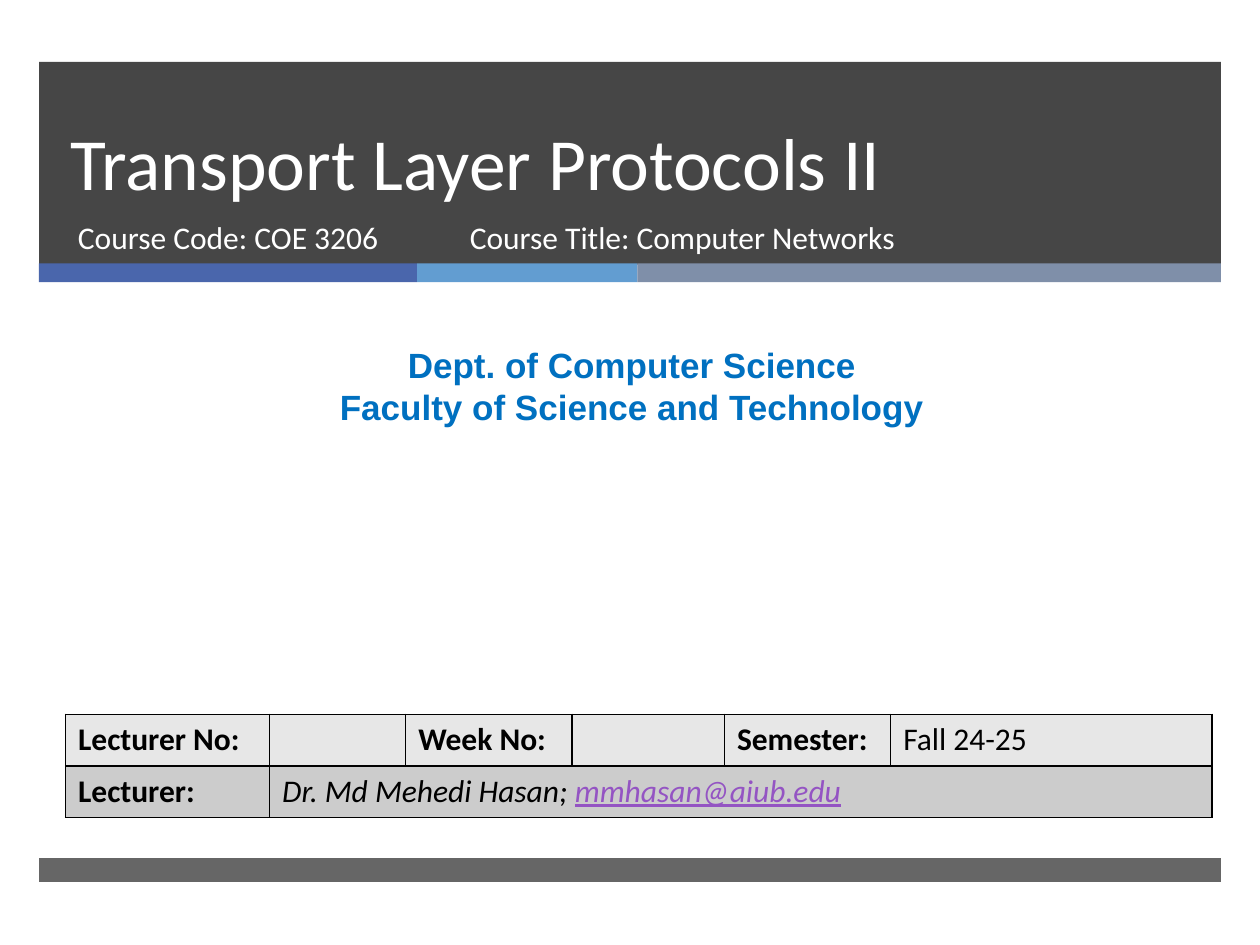
from lxml import etree
from pptx import Presentation
from pptx import util as u
from pptx.dml.color import RGBColor
from pptx.enum import shapes, text
from pptx.oxml.ns import qn

THEME = dict(
    body="Calibri", dept="Arial",
    title_pt=42, title_line_pt=46, dept_pt=20, text_pt=18,
    dark="262626", white="FFFFFF", black="000000", blue="0070C0", link="9454C3",
    accents=("4A66AC", "629DD1", "7F8FA9"), rows=("E7E7E7", "CCCCCC"),
)

TITLE = "Transport Layer Protocols II"
COURSE = [  # text, left, width
    ("Course Code: COE 3206", 0.52, 3.05),
    ("Course Title: Computer Networks", 3.63, 4.55),
]
DEPARTMENT = ["Dept. of Computer Science", "Faculty of Science and Technology"]
LECTURE = ["Lecturer No:", "", "Week No:", "", "Semester:", "Fall 24-25"]
LECTURER = ("Lecturer:", "Dr. Md Mehedi Hasan; ", "mmhasan@aiub.edu")

BAND_LEFT, BAND_WIDTH = 0.31, 9.38
ACCENT_WIDTHS = (3, 1.75, 4.63)
COLUMNS = (1.62, 1.08, 1.32, 1.21, 1.32, 2.55)
ROW_HEIGHT = 0.41


def rgb(color):
    return RGBColor.from_string(color)


def set_font(p, size, color, name=THEME["body"], bold=False):
    f = p.font
    f.size, f.name, f.bold = u.Pt(size), name, bold
    f.color.rgb = rgb(color)


def add_bar(s, left, top, width, height, color, opacity=100):
    sp = s.shapes.add_shape(shapes.MSO_SHAPE.RECTANGLE,
                            *map(u.Inches, (left, top, width, height)))
    sp.shadow.inherit = False
    sp.line.fill.background()
    sp.fill.solid()
    sp.fill.fore_color.rgb = rgb(color)
    if opacity < 100:
        clr = sp.fill._xPr.find(".//" + qn("a:srgbClr"))
        etree.SubElement(clr, qn("a:alpha"), val=str(opacity * 1000))


def add_text(s, box, lines, size, color, **font):
    tf = s.shapes.add_textbox(*map(u.Inches, box)).text_frame
    tf.word_wrap = True
    tf.text = "\n".join(lines)
    for p in tf.paragraphs:
        set_font(p, size, color, **font)
    return tf


def add_borders(cell):
    """Draw a 1 pt line on all four sides, placed before the cell's fill."""
    tc_pr = cell._tc.get_or_add_tcPr()
    for i, side in enumerate(("lnL", "lnR", "lnT", "lnB")):
        ln = etree.Element(qn(f"a:{side}"), w=str(u.Pt(1)))
        fill = etree.SubElement(ln, qn("a:solidFill"))
        etree.SubElement(fill, qn("a:srgbClr"), val=THEME["black"])
        tc_pr.insert(i, ln)


def add_lecture_table(s):
    frame = s.shapes.add_table(2, len(COLUMNS), u.Inches(0.52), u.Inches(5.67),
                               u.Inches(sum(COLUMNS)), u.Inches(2 * ROW_HEIGHT))
    table = frame.table
    for column, width in zip(table.columns, COLUMNS):
        column.width = u.Inches(width)
    for row, color in zip(table.rows, THEME["rows"]):
        row.height = u.Inches(ROW_HEIGHT)
        for cell in row.cells:
            cell.fill.solid()
            cell.fill.fore_color.rgb = rgb(color)
            add_borders(cell)
    table.cell(1, 1).merge(table.cell(1, len(COLUMNS) - 1))

    label, name, email = LECTURER
    entries = [(0, i, value) for i, value in enumerate(LECTURE)]
    entries += [(1, 0, label), (1, 1, name)]
    for row, col, value in entries:
        p = table.cell(row, col).text_frame.paragraphs[0]
        if value:
            p.add_run().text = value
        set_font(p, THEME["text_pt"], THEME["black"], bold=value.endswith(":"))

    p = table.cell(1, 1).text_frame.paragraphs[0]
    p.font.italic = True
    r = p.add_run()
    r.text = email
    r.font.underline = True
    r.font.color.rgb = rgb(THEME["link"])


def main():
    prs = Presentation()
    prs.slide_width, prs.slide_height = u.Inches(10), u.Inches(7.5)
    s = prs.slides.add_slide(prs.slide_layouts[6])

    add_bar(s, BAND_LEFT, 0.49, BAND_WIDTH, 1.61, THEME["dark"], 85)
    left = BAND_LEFT
    for width, color in zip(ACCENT_WIDTHS, THEME["accents"]):
        add_bar(s, left, 2.09, width, 0.15, color)
        left += width
    add_bar(s, BAND_LEFT, 6.81, BAND_WIDTH, 0.19, THEME["dark"], 70)

    tf = add_text(s, (0.46, 0.49, 8.54, 1.19), [TITLE],
                  THEME["title_pt"], THEME["white"])
    tf.vertical_anchor = text.MSO_ANCHOR.BOTTOM
    tf.paragraphs[0].line_spacing = u.Pt(THEME["title_line_pt"])

    for line, left, width in COURSE:
        add_text(s, (left, 1.68, width, 0.53), [line],
                 THEME["text_pt"], THEME["white"])

    tf = add_text(s, (0.08, 2.68, 9.87, 0.77), DEPARTMENT, THEME["dept_pt"],
                  THEME["blue"], name=THEME["dept"], bold=True)
    for p in tf.paragraphs:
        p.alignment = text.PP_ALIGN.CENTER

    add_lecture_table(s)
    prs.save("out.pptx")


if __name__ == "__main__":
    main()
